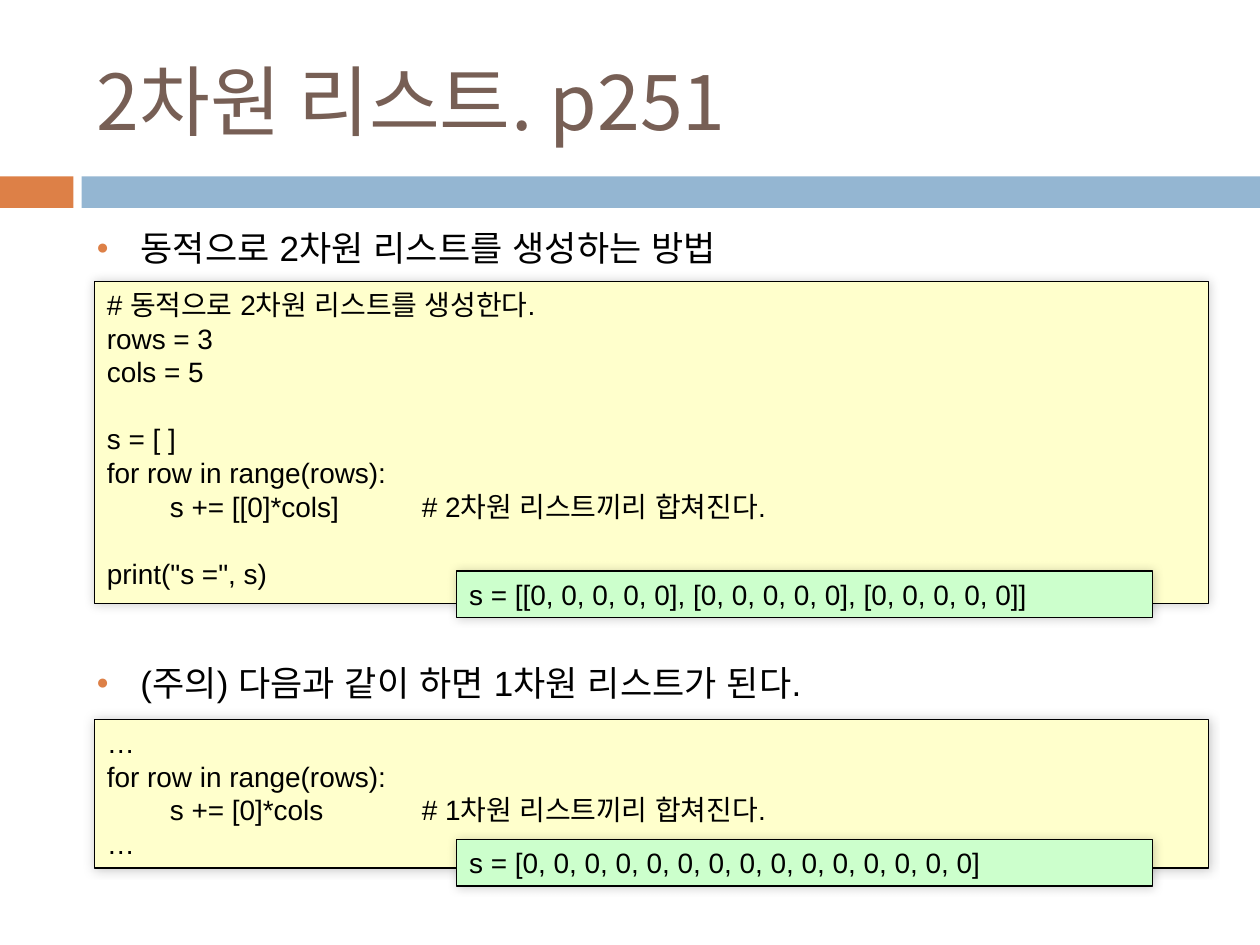
import dataclasses
import typing

import lxml.etree
import pptx
import pptx.dml.color
import pptx.enum.shapes
import pptx.enum.text
import pptx.oxml
import pptx.oxml.ns
import pptx.util

Pt = pptx.util.Pt
COLORS = {
    "orange": "DD8047",
    "blue": "94B6D2",
    "brown": "775F55",
    "black": "000000",
    "code": "FFFFCC",
    "output": "CCFFCC",
}
CODE_LINE = 19.2  # height of one line of code, in points


@dataclasses.dataclass
class Box:
    left: float
    top: float
    width: float
    height: float
    color: str
    lines: typing.Tuple[str, ...] = ()


BARS = [
    Box(0, 100.8, 42, 18, "orange"),
    Box(46.6, 100.8, 673.4, 18, "blue"),
]
# An empty line opens a gap above the line that follows it
PANELS = [
    Box(54, 160.8, 636.5, 184, "code", (
        "# 동적으로 2차원 리스트를 생성한다.",
        "rows = 3",
        "cols = 5",
        "",
        "s = [ ]",
        "for row in range(rows):",
        "\ts += [[0]*cols]\t\t# 2차원 리스트끼리 합쳐진다.",
        "",
        'print("s =", s)',
    )),
    Box(261, 326.3, 397.4, 26.6, "output",
        ("s = [[0, 0, 0, 0, 0], [0, 0, 0, 0, 0], [0, 0, 0, 0, 0]]",)),
    Box(54, 411, 636.5, 85, "code", (
        "…",
        "for row in range(rows):",
        "\ts += [0]*cols\t\t# 1차원 리스트끼리 합쳐진다.",
        "…",
    )),
    Box(261, 479.7, 397.4, 26.6, "output",
        ("s = [0, 0, 0, 0, 0, 0, 0, 0, 0, 0, 0, 0, 0, 0, 0]",)),
]
# Each heading with the space above it
HEADINGS = [
    ("동적으로 2차원 리스트를 생성하는 방법", 7),
    ("(주의) 다음과 같이 하면 1차원 리스트가 된다.", 224.5),
]


def rgb(name: str) -> pptx.dml.color.RGBColor:
    return pptx.dml.color.RGBColor.from_string(COLORS[name])


def write(paragraph, text: str, *, size: float, font: str = "Arial",
          color: str = "black", space_before: float = 0) -> None:
    paragraph.alignment = pptx.enum.text.PP_ALIGN.LEFT
    paragraph.space_before = Pt(space_before)
    run = paragraph.add_run()
    run.text = text
    run.font.size = Pt(size)
    run.font.name = font
    run.font.color.rgb = rgb(color)
    east_asian = lxml.etree.SubElement(run.font._element, pptx.oxml.ns.qn("a:ea"))
    east_asian.set("typeface", font)


def next_paragraph(frame, first: bool):
    return frame.paragraphs[0] if first else frame.add_paragraph()


def add_bullet(paragraph) -> None:
    properties = paragraph._p.get_or_add_pPr()
    properties.set("marL", str(Pt(25.2)))
    properties.set("indent", str(Pt(-25.2)))
    for tag, attribute, value in (("a:buClr", None, None),
                                  ("a:buSzPct", "val", "60000"),
                                  ("a:buFont", "typeface", "Arial"),
                                  ("a:buChar", "char", "●")):
        element = lxml.etree.SubElement(properties, pptx.oxml.ns.qn(tag))
        if attribute:
            element.set(attribute, value)
        else:
            color = lxml.etree.SubElement(element, pptx.oxml.ns.qn("a:srgbClr"))
            color.set("val", COLORS["orange"])


def add_shadow(shape) -> None:
    effects = shape._element.spPr.find(pptx.oxml.ns.qn("a:effectLst"))
    effects.append(pptx.oxml.parse_xml(
        f'<a:outerShdw {pptx.oxml.ns.nsdecls("a")} blurRad="{Pt(6)}" dist="0" '
        f'dir="18900000" algn="ctr" rotWithShape="0"><a:srgbClr val="{COLORS["black"]}">'
        '<a:alpha val="20000"/></a:srgbClr></a:outerShdw>'))


def add_rectangle(slide, box: Box):
    shape = slide.shapes.add_shape(
        pptx.enum.shapes.MSO_SHAPE.RECTANGLE,
        Pt(box.left), Pt(box.top), Pt(box.width), Pt(box.height))
    shape.shadow.inherit = False
    shape.fill.solid()
    shape.fill.fore_color.rgb = rgb(box.color)
    shape.line.fill.background()
    return shape


def add_panel(slide, box: Box) -> None:
    shape = add_rectangle(slide, box)
    shape.line.color.rgb = rgb("black")
    shape.line.width = Pt(0.75)
    add_shadow(shape)
    frame = shape.text_frame
    frame.word_wrap = True
    frame.vertical_anchor = pptx.enum.text.MSO_ANCHOR.TOP
    gap = 0
    for index, line in enumerate(box.lines):
        if not line:
            gap = CODE_LINE
            continue
        write(next_paragraph(frame, index == 0), line, size=16, space_before=gap)
        gap = 0


def main() -> None:
    presentation = pptx.Presentation()
    presentation.slide_width, presentation.slide_height = Pt(720), Pt(540)
    slide = presentation.slides.add_slide(presentation.slide_layouts[5])

    # Title
    title = slide.shapes.title
    title.left, title.top, title.width, title.height = Pt(48), Pt(18), Pt(642), Pt(78)
    title.text_frame.vertical_anchor = pptx.enum.text.MSO_ANCHOR.MIDDLE
    write(title.text_frame.paragraphs[0], "2차원 리스트. p251",
          size=44, font="Noto Sans CJK KR", color="brown")

    # Bars under the title
    for bar in BARS:
        add_rectangle(slide, bar)

    # Bulleted headings
    body = slide.shapes.add_textbox(Pt(48), Pt(126), Pt(642), Pt(354)).text_frame
    body.word_wrap = True
    for index, (heading, space) in enumerate(HEADINGS):
        paragraph = next_paragraph(body, index == 0)
        write(paragraph, heading, size=20, space_before=space)
        add_bullet(paragraph)

    # Code panels with their output
    for panel in PANELS:
        add_panel(slide, panel)

    presentation.save("out.pptx")


if __name__ == "__main__":
    main()
